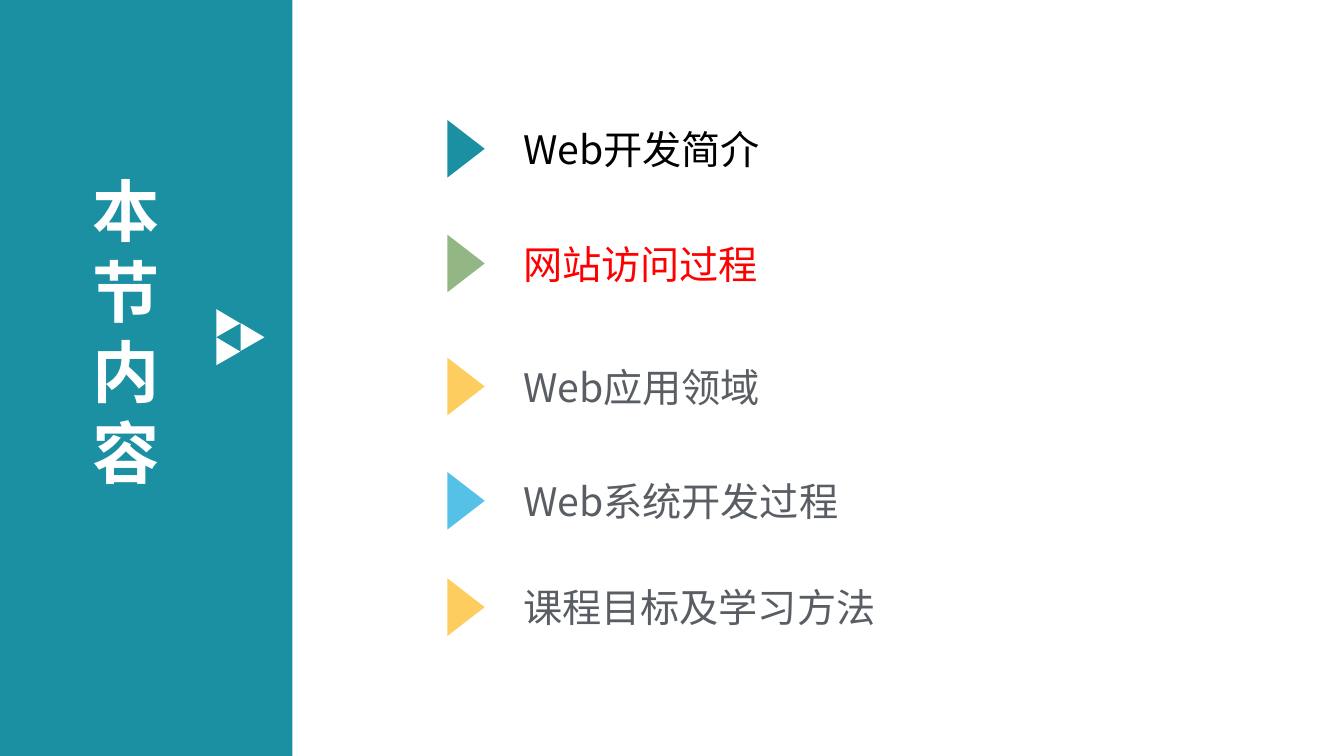
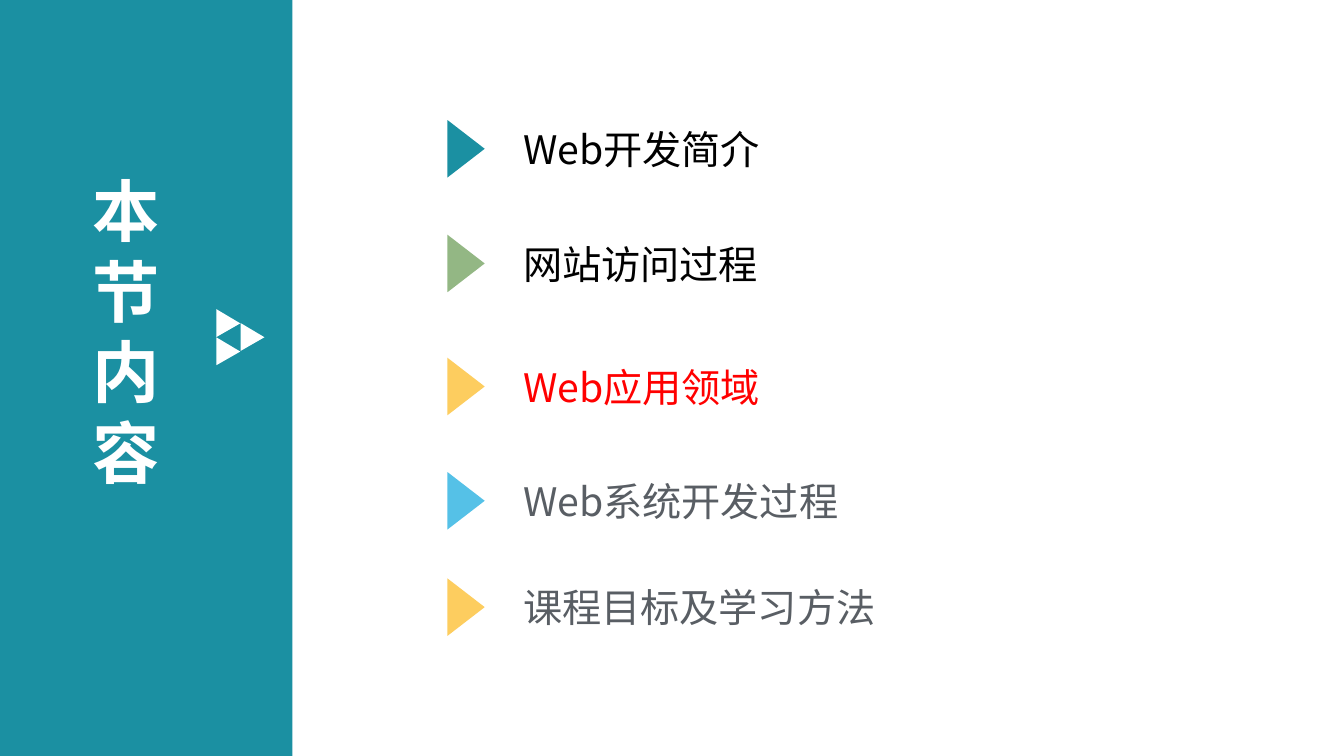
from dataclasses import dataclass

from lxml.etree import SubElement
from pptx import Presentation
from pptx.dml.color import RGBColor
from pptx.enum.shapes import MSO_SHAPE
from pptx.enum.text import MSO_ANCHOR, MSO_AUTO_SIZE, PP_ALIGN
from pptx.oxml.ns import qn
from pptx.shapes.autoshape import Shape
from pptx.slide import Slide
from pptx.util import Cm, Pt


@dataclass(frozen=True)
class Theme:
    font: str = "Noto Sans CJK SC"
    title_size: int = 48
    topic_size: int = 28
    line_ratio: float = 1.2
    teal: str = "1B90A2"
    green: str = "93B784"
    yellow: str = "FDCD5F"
    blue: str = "55C1E7"
    white: str = "FFFFFF"
    finished: str = "000000"
    current: str = "FF0000"
    upcoming: str = "595E64"


@dataclass(frozen=True)
class Box:
    """Position and size in centimetres."""
    left: float
    top: float
    width: float
    height: float


@dataclass(frozen=True)
class Topic:
    text: str
    colour: str
    middle: float  # height of the row's centre line, in centimetres


THEME = Theme()
SLIDE_WIDTH, SLIDE_HEIGHT = 33.87, 19.05

# Agenda content
HEADING = "本节内容"
TOPICS = (
    Topic("Web开发简介", THEME.teal, 3.75),
    Topic("网站访问过程", THEME.green, 6.64),
    Topic("Web应用领域", THEME.yellow, 9.74),
    Topic("Web系统开发过程", THEME.blue, 12.62),
    Topic("课程目标及学习方法", THEME.yellow, 15.3),
)
CURRENT_TOPICS = (1, 2)  # one slide for each

# Layout
BAND = Box(0, 0, 7.37, SLIDE_HEIGHT)
HEADING_BOX = Box(2.08, 4.14, 2.34, 8.46)
TOPICS_BOX = Box(12.93, 3.03, 10, 13)
MARKER_LEFT, MARKER_WIDTH, MARKER_HEIGHT = 11.02, 1.45, 0.94
EMBLEM = tuple(Box(left, top, 0.69, 0.61)
               for left, top in ((5.26, 7.75), (5.26, 8.46), (5.87, 8.1)))


def place(shape: Shape, box: Box) -> None:
    shape.left, shape.top = Cm(box.left), Cm(box.top)
    shape.width, shape.height = Cm(box.width), Cm(box.height)


def add_filled(slide: Slide, kind: MSO_SHAPE, box: Box, colour: str,
               rotation: float = 0) -> Shape:
    shape = slide.shapes.add_shape(kind, 0, 0, 0, 0)
    place(shape, box)
    shape.rotation = rotation
    shape.shadow.inherit = False
    shape.fill.solid()
    shape.fill.fore_color.rgb = RGBColor.from_string(colour)
    shape.line.fill.background()
    return shape


def format_text(shape: Shape, size: int, colours: list[str], bold: bool = False) -> None:
    """Style a placeholder, with one colour for each paragraph."""
    frame = shape.text_frame
    frame.word_wrap = True
    frame.auto_size = MSO_AUTO_SIZE.NONE
    frame.vertical_anchor = MSO_ANCHOR.TOP
    for paragraph, colour in zip(frame.paragraphs, colours):
        paragraph.alignment = PP_ALIGN.LEFT
        paragraph.line_spacing = Pt(size * THEME.line_ratio)
        for run in paragraph.runs:
            run.font.name = THEME.font
            run.font.size = Pt(size)
            run.font.bold = bold
            run.font.color.rgb = RGBColor.from_string(colour)
            SubElement(run.font._element, qn("a:ea"), typeface=THEME.font)


def add_heading(slide: Slide) -> None:
    heading = slide.shapes.title
    place(heading, HEADING_BOX)
    heading.text_frame.text = HEADING
    format_text(heading, THEME.title_size, [THEME.white], bold=True)


def add_side_band(slide: Slide) -> None:
    band = add_filled(slide, MSO_SHAPE.RECTANGLE, BAND, THEME.teal)
    slide.shapes._spTree.insert(2, band._element)  # behind the heading
    for box in EMBLEM:
        add_filled(slide, MSO_SHAPE.ISOSCELES_TRIANGLE, box, THEME.white, 330.2)


def topic_colour(index: int, current: int) -> str:
    if index == current:
        return THEME.current
    return THEME.finished if index < current else THEME.upcoming


def add_topics(slide: Slide, current: int) -> None:
    agenda = slide.placeholders[1]
    place(agenda, TOPICS_BOX)
    agenda.text_frame.text = "\n".join(topic.text for topic in TOPICS)
    format_text(agenda, THEME.topic_size,
                [topic_colour(index, current) for index in range(len(TOPICS))])

    # Paragraph spacing keeps each line level with its marker
    line_height = Pt(THEME.topic_size * THEME.line_ratio)
    previous = None
    for topic, paragraph in zip(TOPICS, agenda.text_frame.paragraphs):
        gap = Cm(topic.middle - previous.middle) - line_height if previous else 0
        paragraph.space_before = Pt(round(gap / Pt(1), 1))
        properties = paragraph._p.get_or_add_pPr()
        properties.set("marL", "0")
        properties.set("indent", "0")
        SubElement(properties, qn("a:buNone"))
        marker = Box(MARKER_LEFT, topic.middle - MARKER_HEIGHT / 2,
                     MARKER_WIDTH, MARKER_HEIGHT)
        add_filled(slide, MSO_SHAPE.ISOSCELES_TRIANGLE, marker, topic.colour, 90)
        previous = topic


def main() -> None:
    presentation = Presentation()
    presentation.slide_width = Cm(SLIDE_WIDTH)
    presentation.slide_height = Cm(SLIDE_HEIGHT)
    title_and_content = presentation.slide_layouts[1]
    for current in CURRENT_TOPICS:
        slide = presentation.slides.add_slide(title_and_content)
        add_heading(slide)
        add_side_band(slide)
        add_topics(slide, current)
    presentation.save("out.pptx")


if __name__ == "__main__":
    main()
